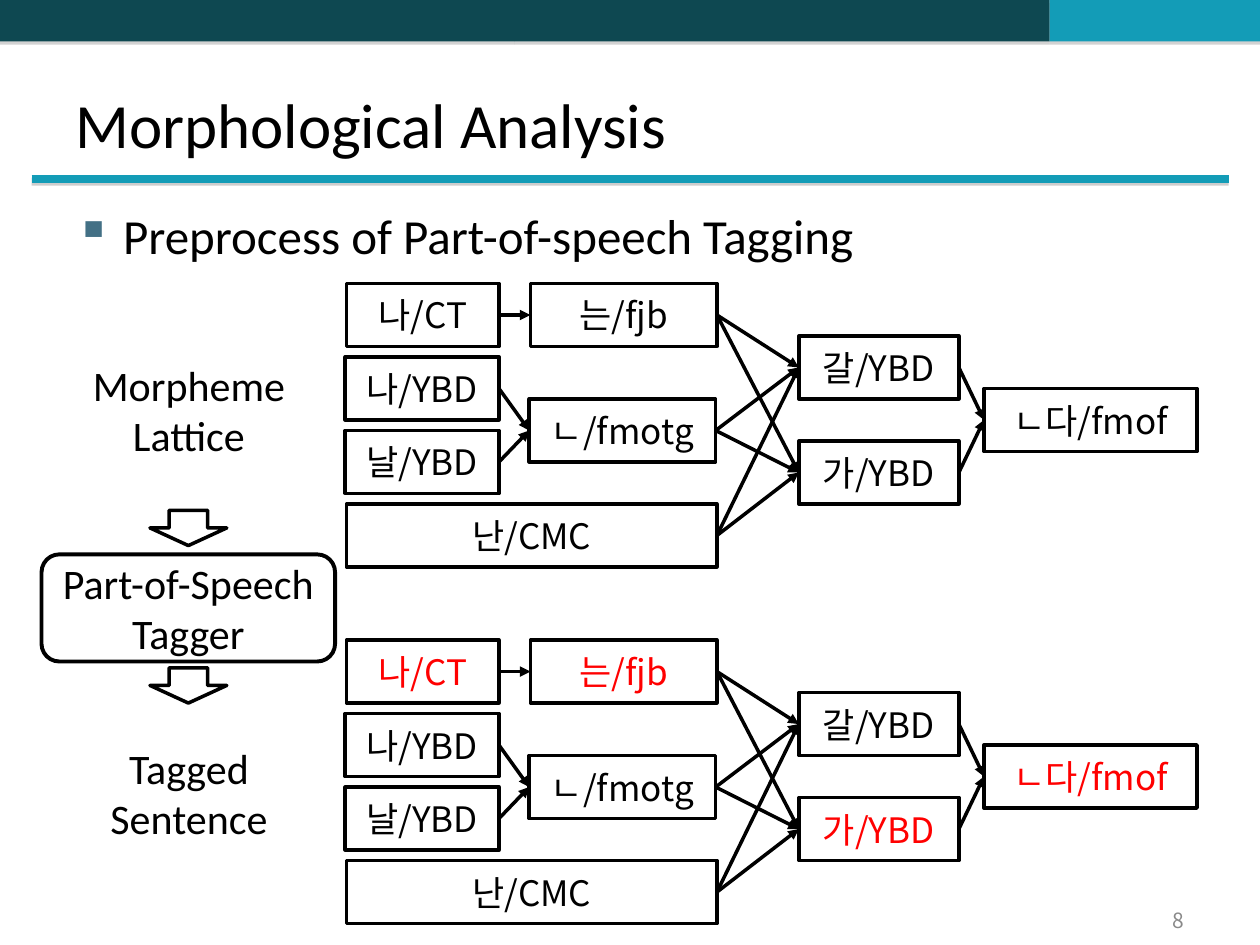
from lxml import etree
from pptx import Presentation
from pptx.dml.color import RGBColor
from pptx.enum import shapes, text
from pptx.oxml import ns
from pptx.util import Inches, Pt

HUES = {"dark": "0E4851", "teal": "139CB7", "mark": "437085", "black": "000000",
        "white": "FFFFFF", "red": "FF0000", "gray": "898989", "shade": "808080"}
LATIN, HANGUL = "Calibri", "Noto Sans CJK KR"
KIND = shapes.MSO_SHAPE
ALIGN, ANCHOR = text.PP_ALIGN, text.MSO_ANCHOR
LEFT, RIGHT = 1, 3  # connection sites of a rectangle
STEP = 7 / 12  # row pitch of the lattice

# Lattice nodes: label, left, row, width
NODES = {
    "na": ("나/CT", 2.75, 0, 1.21),
    "go": ("나/YBD", 2.74, 1, 1.22),
    "fly": ("날/YBD", 2.74, 2, 1.22),
    "nan": ("난/CMC", 2.75, 3, 2.94),
    "neun": ("는/fjb", 4.21, 0, 1.48),
    "n": ("ㄴ/fmotg", 4.2, 11 / 7, 1.48),
    "gal": ("갈/YBD", 6.34, 5 / 7, 1.27),
    "ga": ("가/YBD", 6.34, 15 / 7, 1.27),
    "end": ("ㄴ다/fmof", 7.81, 10 / 7, 1.69),
}
LINKS = {"na": ["neun"], "go": ["n"], "fly": ["n"], "neun": ["gal", "ga"],
         "n": ["gal", "ga"], "nan": ["gal", "ga"], "gal": ["end"], "ga": ["end"]}
BEST = {"na", "neun", "ga", "end"}


def hue(name):
    return RGBColor.from_string(HUES[name])


def sub(node, tag, **attrs):
    return etree.SubElement(node, ns.qn("a:" + tag), attrs)


def shade(shape, alpha, dist):
    """Give a shape a hard shadow straight below it."""
    props = shape._element.spPr
    for old in props.findall(ns.qn("a:effectLst")):
        props.remove(old)
    cast = sub(sub(props, "effectLst"), "outerShdw", blurRad="0",
               dist=str(Pt(dist)), dir="5400000", algn="ctr", rotWithShape="0")
    tint = sub(cast, "srgbClr", val=HUES["shade"])
    sub(tint, "alpha", val=str(alpha * 1000))


def write(shape, lines, size, face=LATIN, color="black", align=ALIGN.CENTER,
          anchor=ANCHOR.MIDDLE, wrap=True):
    frame = shape.text_frame
    frame.text = lines
    frame.word_wrap = wrap
    frame.vertical_anchor = anchor
    for para in frame.paragraphs:
        para.alignment = align
        font = para.font
        font.size, font.name = Pt(size), face
        font.color.rgb = hue(color)
        sub(font._element, "ea", typeface=face)
    return frame.paragraphs[0]


def label(slide, spot, lines, size, **look):
    box = slide.shapes.add_textbox(*map(Inches, spot))
    return write(box, lines, size, **look)


def block(slide, kind, spot, fill=None, line="black", width=2):
    shape = slide.shapes.add_shape(kind, *map(Inches, spot))
    shape.shadow.inherit = False
    if fill:
        shape.fill.solid()
        shape.fill.fore_color.rgb = hue(fill)
    else:
        shape.fill.background()
    if line:
        shape.line.color.rgb = hue(line)
        shape.line.width = Pt(width)
    else:
        shape.line.fill.background()
    return shape


def rule(slide, ends, color, width):
    line = slide.shapes.add_connector(shapes.MSO_CONNECTOR.STRAIGHT,
                                      *map(Inches, ends))
    line.line.color.rgb = hue(color)
    line.line.width = Pt(width)
    sub(line._element.spPr, "effectLst")
    return line


def link(slide, start, stop):
    line = rule(slide, (0, 0, 0, 0), "black", 2)
    line.begin_connect(start, RIGHT)
    line.end_connect(stop, LEFT)
    sub(line.line._get_or_add_ln(), "tailEnd", type="triangle")


def bullet(para, sign, color):
    props = para._p.get_or_add_pPr()
    props.set("marL", str(Inches(0.38)))
    props.set("indent", str(-Inches(0.38)))
    tint = etree.Element(ns.qn("a:buClr"))
    sub(tint, "srgbClr", val=HUES[color])
    mark = etree.Element(ns.qn("a:buChar"), char=sign)
    first = props.find(ns.qn("a:defRPr"))
    first.addprevious(tint)
    first.addprevious(mark)


def lattice(slide, top, best=()):
    boxes = {}
    for key, (name, left, row, width) in NODES.items():
        spot = (left, top + row * STEP, width, 0.5)
        boxes[key] = block(slide, KIND.RECTANGLE, spot, "white")
        write(boxes[key], name, 20, HANGUL, "red" if key in best else "black")
    for start, stops in LINKS.items():
        for stop in stops:
            link(slide, boxes[start], boxes[stop])


def main():
    deck = Presentation()
    deck.slide_width, deck.slide_height = Inches(10), Inches(7.5)
    slide = deck.slides.add_slide(deck.slide_layouts[6])

    # Top band and title rule
    for left, width, fill in ((0, 4.08, "dark"), (4.08, 4.25, "dark"),
                              (8.33, 1.67, "teal")):
        bar = block(slide, KIND.RECTANGLE, (left, 0, width, 0.33), fill, None)
        shade(bar, 35, 1.8)
    shade(rule(slide, (0.25, 1.42, 9.75, 1.42), "teal", 4.5), 38, 1.6)

    # Title, bullet and page number
    label(slide, (0.5, 0.3, 9, 1.03), "Morphological Analysis", 36,
          align=ALIGN.LEFT, anchor=ANCHOR.BOTTOM)
    point = label(slide, (0.5, 1.58, 9, 0.6), "Preprocess of Part-of-speech Tagging",
                  28, align=ALIGN.LEFT, anchor=ANCHOR.TOP)
    point.space_before = Pt(5.6)
    bullet(point, "▪", "mark")
    label(slide, (7.17, 7.17, 2.33, 0.27), "8", 12, face=HANGUL, color="gray",
          align=ALIGN.RIGHT)

    # Lattices before and after tagging
    lattice(slide, 2.25)
    lattice(slide, 5.08, BEST)

    # Flow on the left
    label(slide, (0.63, 2.8, 1.74, 0.91), "Morpheme\nLattice", 24,
          anchor=ANCHOR.TOP, wrap=False)
    label(slide, (0.77, 5.84, 1.46, 0.91), "Tagged\nSentence", 24,
          anchor=ANCHOR.TOP, wrap=False)
    for top in (4.05, 5.3):
        block(slide, KIND.DOWN_ARROW, (1.19, top, 0.61, 0.28), "white")
    tagger = block(slide, KIND.ROUNDED_RECTANGLE, (0.33, 4.4, 2.33, 0.85), width=2.25)
    write(tagger, "Part-of-Speech Tagger", 24)

    deck.save("out.pptx")


main()
